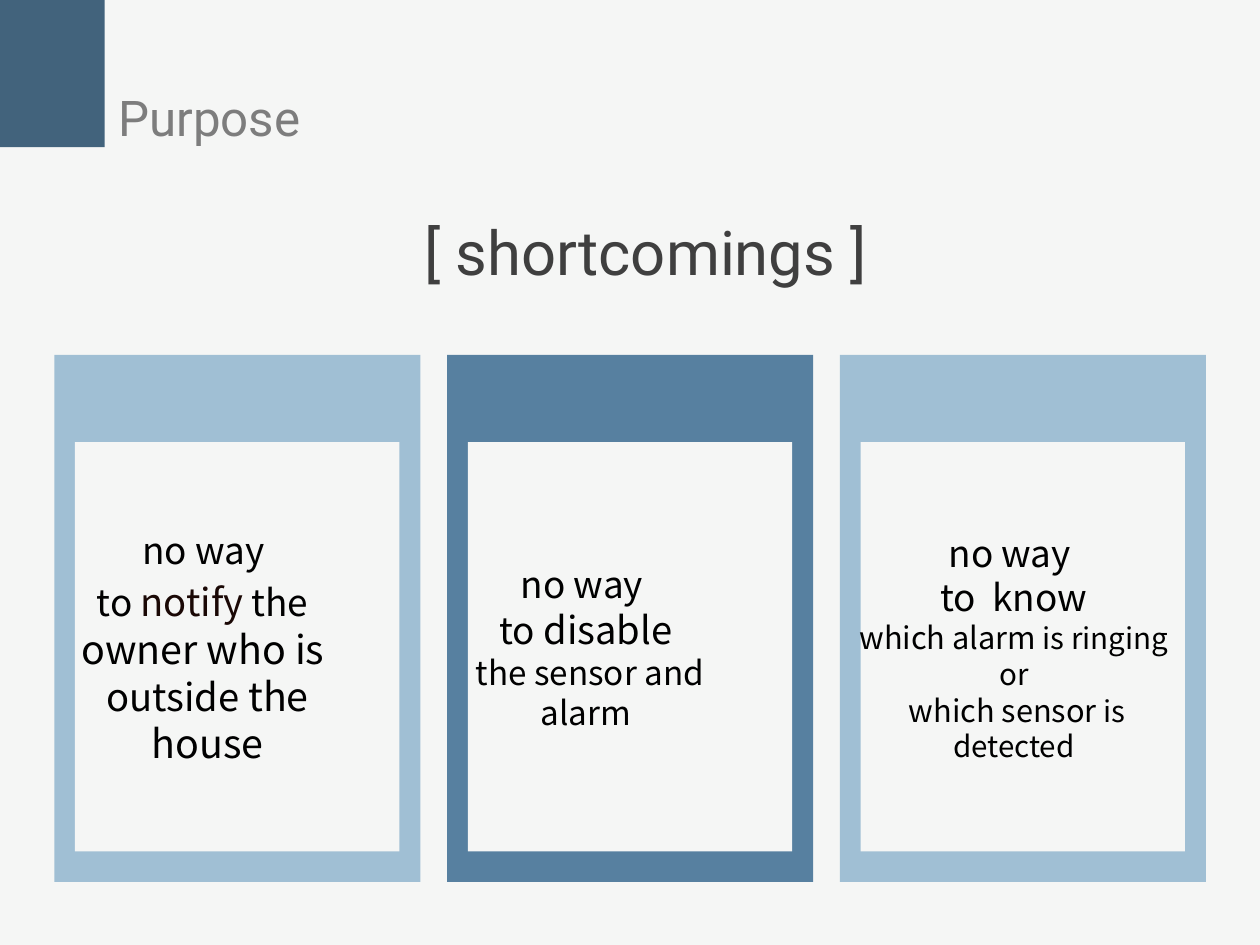
import pptx
import pptx.dml.color
import pptx.enum.shapes
import pptx.enum.text
import pptx.util

Cm = pptx.util.Cm
RGBColor = pptx.dml.color.RGBColor
Align = pptx.enum.text.PP_ALIGN

PAPER = RGBColor(0xF5, 0xF6, 0xF5)
NAVY = RGBColor(0x42, 0x63, 0x7C)
LIGHT_BLUE = RGBColor(0xA0, 0xBF, 0xD4)
MID_BLUE = RGBColor(0x57, 0x80, 0xA0)
GRAY = RGBColor(0x7D, 0x7D, 0x7D)
CHARCOAL = RGBColor(0x3F, 0x3F, 0x3F)
BLACK = RGBColor(0x00, 0x00, 0x00)
DARK_BROWN = RGBColor(0x1A, 0x08, 0x05)

HEADING_FONT = "Roboto"
BODY_FONT = "Noto Sans CJK KR"


def add_span(para, text, *, size, font=BODY_FONT, color=BLACK):
    span = para.add_run()
    span.text = text
    span.font.size = pptx.util.Pt(size)
    span.font.name = font
    span.font.color.rgb = color


class PageBuilder:
    """Holds the page and its common style."""

    inset = Cm(0.15)

    def __init__(self, page):
        self.page = page
        page.background.fill.solid()
        page.background.fill.fore_color.rgb = PAPER

    def block(self, left, top, width, height, color):
        box = self.page.shapes.add_shape(
            pptx.enum.shapes.MSO_SHAPE.RECTANGLE,
            Cm(left), Cm(top), Cm(width), Cm(height))
        box.shadow.inherit = False
        box.fill.solid()
        box.fill.fore_color.rgb = color
        box.line.fill.background()

    def text(self, left, top, width, height, lines, *,
             align=Align.CENTER, wrap=False, **style):
        """Each line is a list of (text, size) or (text, size, color) spans."""
        box = self.page.shapes.add_textbox(
            Cm(left), Cm(top), Cm(width), Cm(height))
        frame = box.text_frame
        frame.word_wrap = wrap
        frame.auto_size = pptx.enum.text.MSO_AUTO_SIZE.SHAPE_TO_FIT_TEXT
        frame.vertical_anchor = pptx.enum.text.MSO_ANCHOR.MIDDLE
        frame.margin_left = frame.margin_right = self.inset
        frame.margin_top = frame.margin_bottom = self.inset
        for index, line in enumerate(lines):
            para = frame.add_paragraph() if index else frame.paragraphs[0]
            para.alignment = align
            for text, size, *color in line:
                span_style = dict(style, color=color[0]) if color else style
                add_span(para, text, size=size, **span_style)


# Card frames: even columns, each with an inner panel
CARD_LEFT, CARD_STEP = 1.56, 11.26
CARD_COLORS = [LIGHT_BLUE, MID_BLUE, LIGHT_BLUE]

# Card texts: place, then lines of spans
CARD_TEXTS = [
    ((1.48, 15.65, 8.94, 5.82), [
        [("no way ", 30)],
        [("to ", 30), ("notify", 31, DARK_BROWN), (" the", 30), (" ", 36)],
        [("owner who is ", 32)],
        [("outside", 31), (" the house", 32)],
    ]),
    ((12.33, 16.56, 8.94, 3.99), [
        [("no way ", 30)],
        [("to ", 30), ("disable", 31)],
        [(" the sensor and alarm", 27)],
    ]),
    ((24.15, 15.53, 9.83, 6.05), [
        [("no way ", 30)],
        [("to  know", 30)],
        [(" ", 24), ("which alarm", 25), (" is ringing ", 24)],
        [("or", 24)],
        [(" ", 24), ("which sensor", 25), (" is detected", 24)],
    ]),
]


def main():
    deck = pptx.Presentation()
    deck.slide_width, deck.slide_height = Cm(36.12), Cm(27.1)
    builder = PageBuilder(deck.slides.add_slide(deck.slide_layouts[6]))

    # Corner block and page title
    builder.block(-0.53, -0.1, 3.53, 4.32, NAVY)
    builder.text(3.22, 2.36, 5.56, 1.98, [[("Purpose", 40)]],
                 font=HEADING_FONT, color=GRAY)

    # Cards
    for column, color in enumerate(CARD_COLORS):
        left = CARD_LEFT + column * CARD_STEP
        builder.block(left, 10.18, 10.49, 15.11, color)
        builder.block(left + 0.59, 12.68, 9.3, 11.74, PAPER)
    for place, lines in CARD_TEXTS:
        builder.text(*place, lines)

    # Section heading
    builder.text(12.01, 5.99, 13.39, 2.39, [[("[ shortcomings ]", 50)]],
                 align=Align.LEFT, wrap=True,
                 font=HEADING_FONT, color=CHARCOAL)

    deck.save("out.pptx")


if __name__ == "__main__":
    main()
